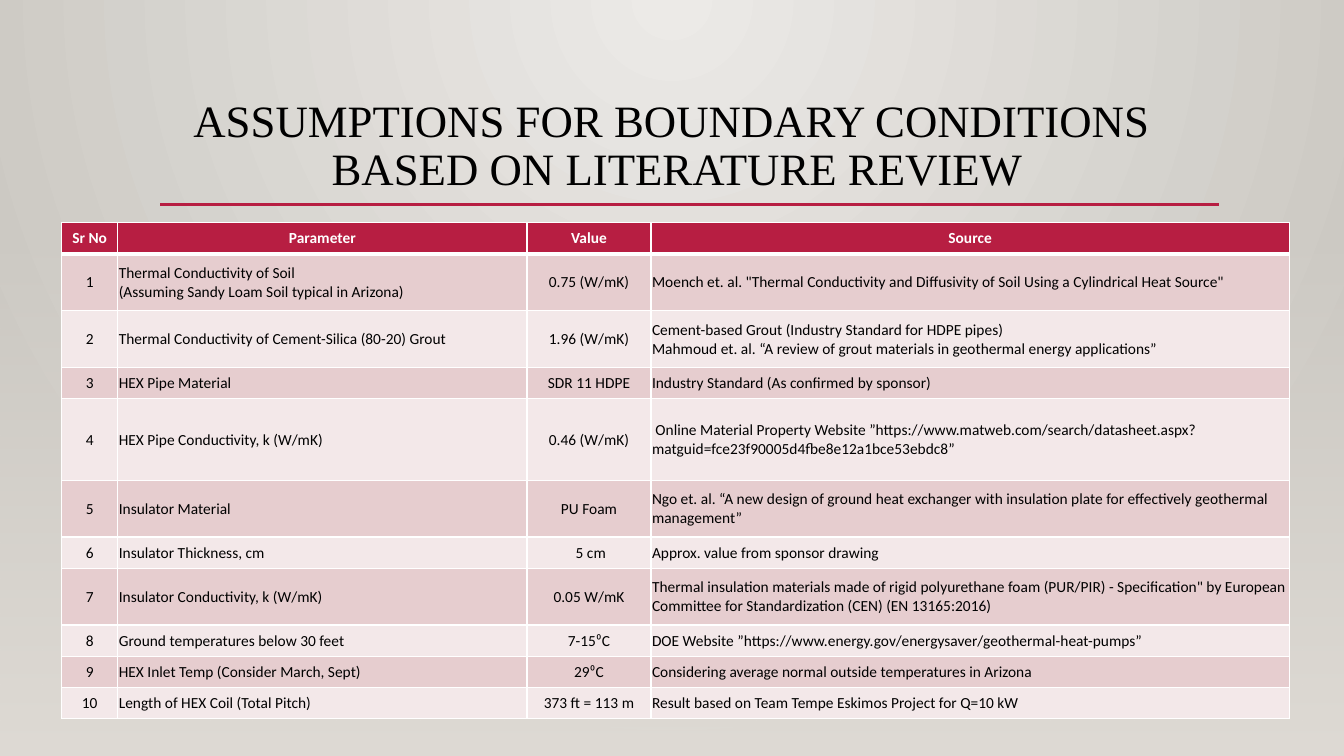
from lxml import etree
from pptx import Presentation
from pptx.dml.color import RGBColor
from pptx.enum import shapes, text
from pptx.oxml import parse_xml
from pptx.oxml.ns import nsdecls, qn
from pptx.util import Pt

CRIMSON, WHITE, BLACK = "B71E42", "FFFFFF", "000000"
BANDS = ["F3E8E9", "E6CDCF"]
CENTER, LEFT = text.PP_ALIGN.CENTER, text.PP_ALIGN.LEFT


def color(value):
    return RGBColor.from_string(value)


def shade(gradient, stops, direction):
    """Replace a gradient's stops, given as (hex, opacity), and its direction."""
    for child in list(gradient):
        gradient.remove(child)
    last = len(stops) - 1
    marks = "".join(
        f'<a:gs pos="{100000 * i // last}"><a:srgbClr val="{value}">'
        f'<a:alpha val="{opacity * 1000}"/></a:srgbClr></a:gs>'
        for i, (value, opacity) in enumerate(stops))
    parts = parse_xml(f'<a:gradFill {nsdecls("a")}><a:gsLst>{marks}</a:gsLst>{direction}</a:gradFill>')
    gradient.extend(list(parts))


deck = Presentation()
deck.slide_width, deck.slide_height = Pt(960), Pt(540)
slide = deck.slides.add_slide(deck.slide_layouts[6])

# Glow from the top centre, with a haze over the lower part
glow = ([("ECEAE7", 100), ("CAC7C1", 100)],
        '<a:path path="circle"><a:fillToRect l="43000" t="0" r="43000" b="100000"/></a:path>')
haze = ([("DFDBD5", 0), ("DFDBD5", 100)], '<a:lin ang="5400000" scaled="0"/>')
for top, gradient in [(0, glow), (159, haze)]:
    layer = slide.shapes.add_shape(
        shapes.MSO_SHAPE.RECTANGLE, Pt(0), Pt(top), Pt(960), Pt(540 - top))
    layer.shadow.inherit = False
    layer.line.fill.background()
    layer.fill.gradient()
    shade(layer.element.spPr.find(qn("a:gradFill")), *gradient)

# Title and the rule below it
title = slide.shapes.add_textbox(Pt(23.8), Pt(63.4), Pt(920), Pt(82.8)).text_frame
title.word_wrap = True
title.vertical_anchor = text.MSO_ANCHOR.MIDDLE
heading = title.paragraphs[0]
heading.text = "ASSUMPTIONS FOR BOUNDARY CONDITIONS \vBASED ON LITERATURE REVIEW"
heading.alignment = CENTER
heading.line_spacing = 0.9
heading.font.size = Pt(32)
heading.font.name = "Times New Roman"
heading.font.color.rgb = color(BLACK)

rule = slide.shapes.add_connector(
    shapes.MSO_CONNECTOR.STRAIGHT, Pt(114.5), Pt(146), Pt(870.5), Pt(146))
rule.line.color.rgb = color(CRIMSON)
rule.line.width = Pt(2.5)
etree.SubElement(rule.element.spPr, qn("a:effectLst"))

# Table of assumptions
assumptions = [
    ("Sr No", "Parameter", "Value", "Source"),
    ("1", "Thermal Conductivity of Soil \v(Assuming Sandy Loam Soil typical in Arizona)", "0.75 (W/mK)",
     'Moench et. al. "Thermal Conductivity and Diffusivity of Soil Using a Cylindrical Heat Source"'),
    ("2", "Thermal Conductivity of Cement-Silica (80-20) Grout", "1.96 (W/mK)",
     "Cement-based Grout (Industry Standard for HDPE pipes)\n"
     "Mahmoud et. al. “A review of grout materials in geothermal energy applications”"),
    ("3", "HEX Pipe Material", "SDR 11 HDPE", "Industry Standard (As confirmed by sponsor)"),
    ("4", "HEX Pipe Conductivity, k (W/mK)", "0.46 (W/mK)",
     " Online Material Property Website ”https://www.matweb.com/search/datasheet.aspx?"
     "matguid=fce23f90005d4fbe8e12a1bce53ebdc8”"),
    ("5", "Insulator Material", "PU Foam",
     "Ngo et. al. “A new design of ground heat exchanger with insulation plate "
     "for effectively geothermal management”"),
    ("6", "Insulator Thickness, cm", " 5 cm", "Approx. value from sponsor drawing"),
    ("7", "Insulator Conductivity, k (W/mK)", "0.05 W/mK",
     "Thermal insulation materials made of rigid polyurethane foam (PUR/PIR) - "
     'Specification" by European Committee for Standardization (CEN) (EN 13165:2016)'),
    ("8", "Ground temperatures below 30 feet", "7-15⁰C",
     "DOE Website ”https://www.energy.gov/energysaver/geothermal-heat-pumps”"),
    ("9", "HEX Inlet Temp (Consider March, Sept)", "29⁰C",
     "Considering average normal outside temperatures in Arizona"),
    ("10", "Length of HEX Coil (Total Pitch)", "373 ft = 113 m",
     "Result based on Team Tempe Eskimos Project for Q=10 kW"),
]
widths = [40.3, 292.3, 88.6, 455.8]
SHORT, MEDIUM, TALL = 22.3, 40.6, 58.3
heights = [SHORT, MEDIUM, MEDIUM, SHORT, TALL, MEDIUM, SHORT, MEDIUM, SHORT, SHORT, SHORT]
cell_format = {"margin_left": Pt(0.7), "margin_right": Pt(0.7), "margin_top": Pt(0.7),
               "margin_bottom": Pt(0), "vertical_anchor": text.MSO_ANCHOR.MIDDLE}

table = slide.shapes.add_table(len(heights), len(widths), Pt(43.9), Pt(159),
                               Pt(sum(widths)), Pt(sum(heights))).table
for column, width in zip(table.columns, widths):
    column.width = Pt(width)
for row, height in zip(table.rows, heights):
    row.height = Pt(height)

for r, assumption in enumerate(assumptions):
    header = r == 0
    for c, content in enumerate(assumption):
        cell = table.cell(r, c)
        for name, value in cell_format.items():
            setattr(cell, name, value)
        edges = {"lnL": 1, "lnR": 1, "lnT": 3 if r == 1 else 1, "lnB": 3 if header else 1}
        for edge, weight in edges.items():
            cell._tc.get_or_add_tcPr().append(parse_xml(
                f'<a:{edge} {nsdecls("a")} w="{Pt(weight)}"><a:solidFill>'
                f'<a:srgbClr val="{WHITE}"/></a:solidFill></a:{edge}>'))
        cell.fill.solid()
        cell.fill.fore_color.rgb = color(CRIMSON if header else BANDS[r % 2])
        cell.text = content
        for paragraph in cell.text_frame.paragraphs:
            paragraph.alignment = CENTER if header or c in (0, 2) else LEFT
            paragraph.font.size = Pt(11)
            paragraph.font.name = "Calibri"
            paragraph.font.bold = header
            paragraph.font.color.rgb = color(WHITE if header else BLACK)

deck.save("out.pptx")
